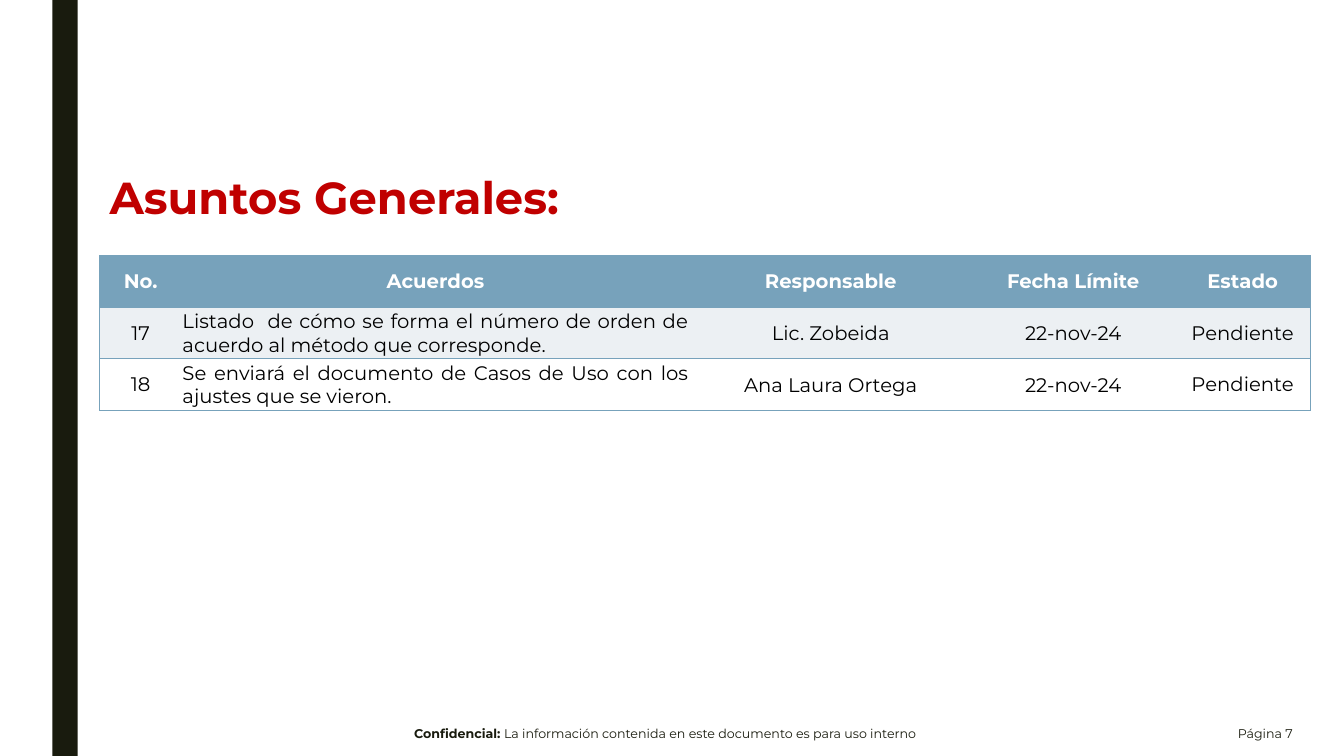
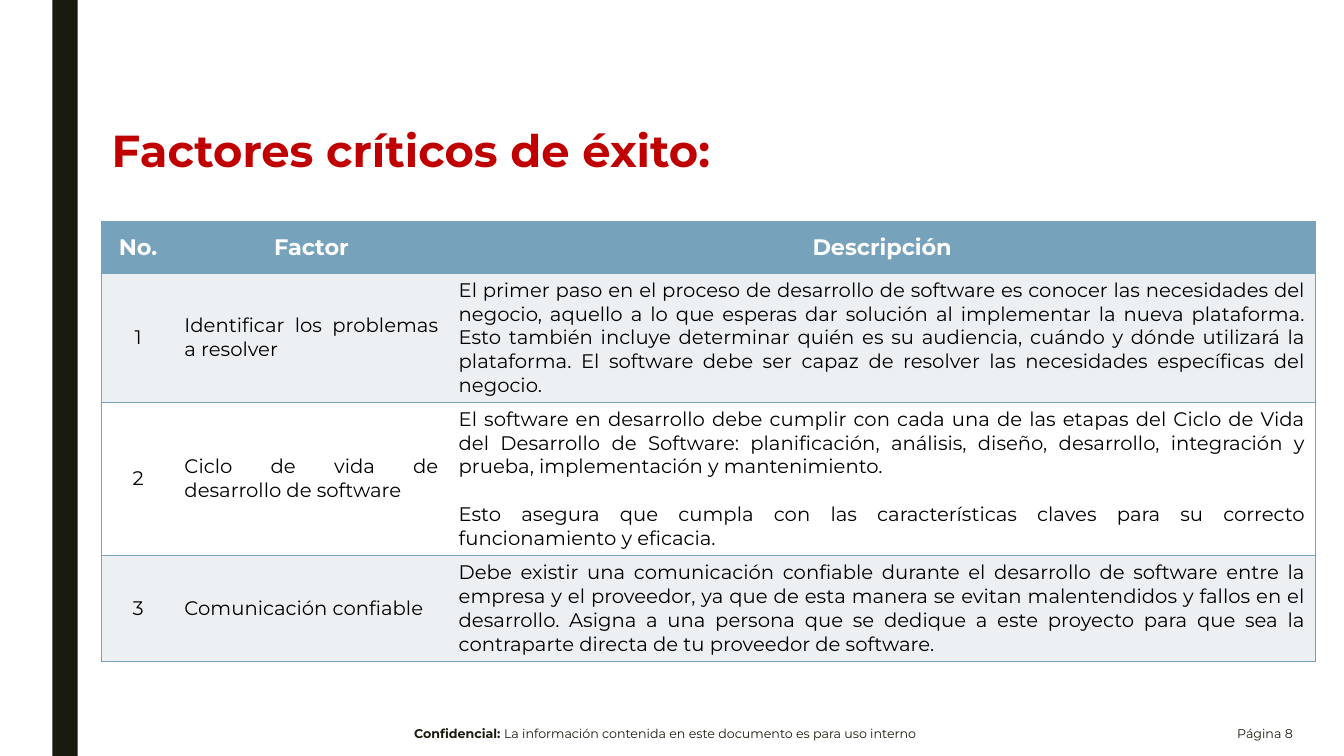
from lxml import etree
from pptx import Presentation
from pptx.dml.color import RGBColor
from pptx.enum.shapes import MSO_SHAPE
from pptx.enum.text import MSO_ANCHOR, PP_ALIGN
from pptx.oxml.ns import qn
from pptx.util import Pt

PX = 9144  # 100 px to the inch
W, H = 1333, 750
FONT = "Montserrat"
DARK, RED, BLUE = "191B0E", "C00000", "77A2BB"
PALE, WHITE, BLACK = "ECF0F3", "FFFFFF", "000000"
RECT = MSO_SHAPE.RECTANGLE
MIDDLE = MSO_ANCHOR.MIDDLE
CENTER, RIGHT, JUSTIFY = PP_ALIGN.CENTER, PP_ALIGN.RIGHT, PP_ALIGN.JUSTIFY

# Cell margins: left, top, right, bottom
NORMAL, TIGHT, FLAT = (10, 5, 10, 5), (1, 1, 1, 0), (2, 0, 2, 0)

SLIDES = [
    {
        "title": "Asuntos Generales:",
        "title_box": (99, 169, 583, 59),
        "table_at": (99, 254),
        "cols": [81, 504, 280, 201, 135],
        "rows": [51, 51, 51],
        "header_size": 14,
        "aligns": [CENTER, JUSTIFY, CENTER, CENTER, CENTER],
        "margins": [NORMAL, TIGHT, TIGHT, TIGHT, FLAT],
        "cells": [
            ["No.", "Acuerdos", "Responsable", "Fecha Límite", "Estado"],
            ["17", "Listado  de cómo se forma el número de orden de acuerdo al "
             "método que corresponde.", "Lic. Zobeida", "22-nov-24", "Pendiente"],
            ["18", "Se enviará el documento de Casos de Uso con los ajustes que se "
             "vieron.", "Ana Laura Ortega", "22-nov-24", "Pendiente"],
        ],
        "page": "Página 7",
    },
    {
        "title": "Factores críticos de éxito:",
        "title_box": (101, 123, 639, 59),
        "table_at": (101, 220),
        "cols": [72, 272, 860],
        "rows": [51, 128, 152, 105],
        "header_size": 16,
        "aligns": [CENTER, JUSTIFY, JUSTIFY],
        "margins": [NORMAL, NORMAL, NORMAL],
        "cells": [
            ["No.", "Factor", "Descripción"],
            ["1", "Identificar los problemas a resolver",
             "El primer paso en el proceso de desarrollo de software es conocer las "
             "necesidades del negocio, aquello a lo que esperas dar solución al "
             "implementar la nueva plataforma. Esto también incluye determinar quién "
             "es su audiencia, cuándo y dónde utilizará la plataforma. El software "
             "debe ser capaz de resolver las necesidades específicas del negocio."],
            ["2", "Ciclo de vida de desarrollo de software",
             "El software en desarrollo debe cumplir con cada una de las etapas del "
             "Ciclo de Vida del Desarrollo de Software: planificación, análisis, "
             "diseño, desarrollo, integración y prueba, implementación y "
             "mantenimiento.\n"
             "Esto asegura que cumpla con las características claves para su "
             "correcto funcionamiento y eficacia."],
            ["3", "Comunicación confiable",
             "Debe existir una comunicación confiable durante el desarrollo de "
             "software entre la empresa y el proveedor, ya que de esta manera se "
             "evitan malentendidos y fallos en el desarrollo. Asigna a una persona "
             "que se dedique a este proyecto para que sea la contraparte directa de "
             "tu proveedor de software."],
        ],
        "page": "Página 8",
    },
]


def rgb(color):
    return RGBColor.from_string(color)


def write(tf, text, size, color, align, bold=None):
    """Fill a text frame, one paragraph per line, with a line's gap between them."""
    tf.word_wrap = True
    tf.text = text
    for i, p in enumerate(tf.paragraphs):
        p.alignment = align
        p.font.name, p.font.size, p.font.bold = FONT, Pt(size), bold
        p.font.color.rgb = rgb(color)
        if i:
            p.space_before = Pt(17)


prs = Presentation()
prs.slide_width, prs.slide_height = W * PX, H * PX

for data in SLIDES:
    s = prs.slides.add_slide(prs.slide_layouts[6])

    band = s.shapes.add_shape(RECT, 52 * PX, 0, 25 * PX, H * PX)
    band.shadow.inherit = False
    band.fill.solid()
    band.fill.fore_color.rgb = rgb(DARK)
    band.line.fill.background()

    title = s.shapes.add_textbox(*[v * PX for v in data["title_box"]])
    write(title.text_frame, data["title"], 32, RED, JUSTIFY, True)
    title.text_frame.paragraphs[0].line_spacing = 0.9

    cols, rows = data["cols"], data["rows"]
    left, top = data["table_at"]
    table = s.shapes.add_table(len(rows), len(cols), left * PX, top * PX,
                               sum(cols) * PX, sum(rows) * PX).table
    table.horz_banding = False
    for column, width in zip(table.columns, cols):
        column.width = width * PX
    for row, height in zip(table.rows, rows):
        row.height = height * PX

    for r, texts in enumerate(data["cells"]):
        for c, text in enumerate(texts):
            cell = table.cell(r, c)
            if r == 0:
                fill, margins = BLUE, NORMAL
                write(cell.text_frame, text, data["header_size"], WHITE, CENTER, True)
            else:
                fill, margins = PALE if r % 2 else WHITE, data["margins"][c]
                write(cell.text_frame, text, 14, BLACK, data["aligns"][c], False)
            cell.vertical_anchor = MIDDLE
            (cell.margin_left, cell.margin_top,
             cell.margin_right, cell.margin_bottom) = [v * PX for v in margins]

            # Borders must precede the fill in the cell properties
            tcPr = cell._tc.get_or_add_tcPr()
            ruled = {"lnL": c == 0, "lnR": c == len(cols) - 1, "lnT": True, "lnB": True}
            for side, visible in ruled.items():
                ln = etree.SubElement(tcPr, qn(f"a:{side}"), w=str(Pt(1)))
                if visible:
                    solid = etree.SubElement(ln, qn("a:solidFill"))
                    etree.SubElement(solid, qn("a:srgbClr"), val=BLUE)
                else:
                    etree.SubElement(ln, qn("a:noFill"))
            cell.fill.solid()
            cell.fill.fore_color.rgb = rgb(fill)

    notice = s.shapes.add_textbox(316 * PX, 706 * PX, 687 * PX, 44 * PX)
    write(notice.text_frame, "Confidencial: ", 9, DARK, CENTER)
    notice.text_frame.vertical_anchor = MIDDLE
    p = notice.text_frame.paragraphs[0]
    p.runs[0].font.bold = True
    p.add_run().text = "La información contenida en este documento es para uso interno"

    page = s.shapes.add_textbox(1117 * PX, 706 * PX, 175 * PX, 44 * PX)
    write(page.text_frame, data["page"], 9, DARK, RIGHT)
    page.text_frame.vertical_anchor = MIDDLE

prs.save("out.pptx")
